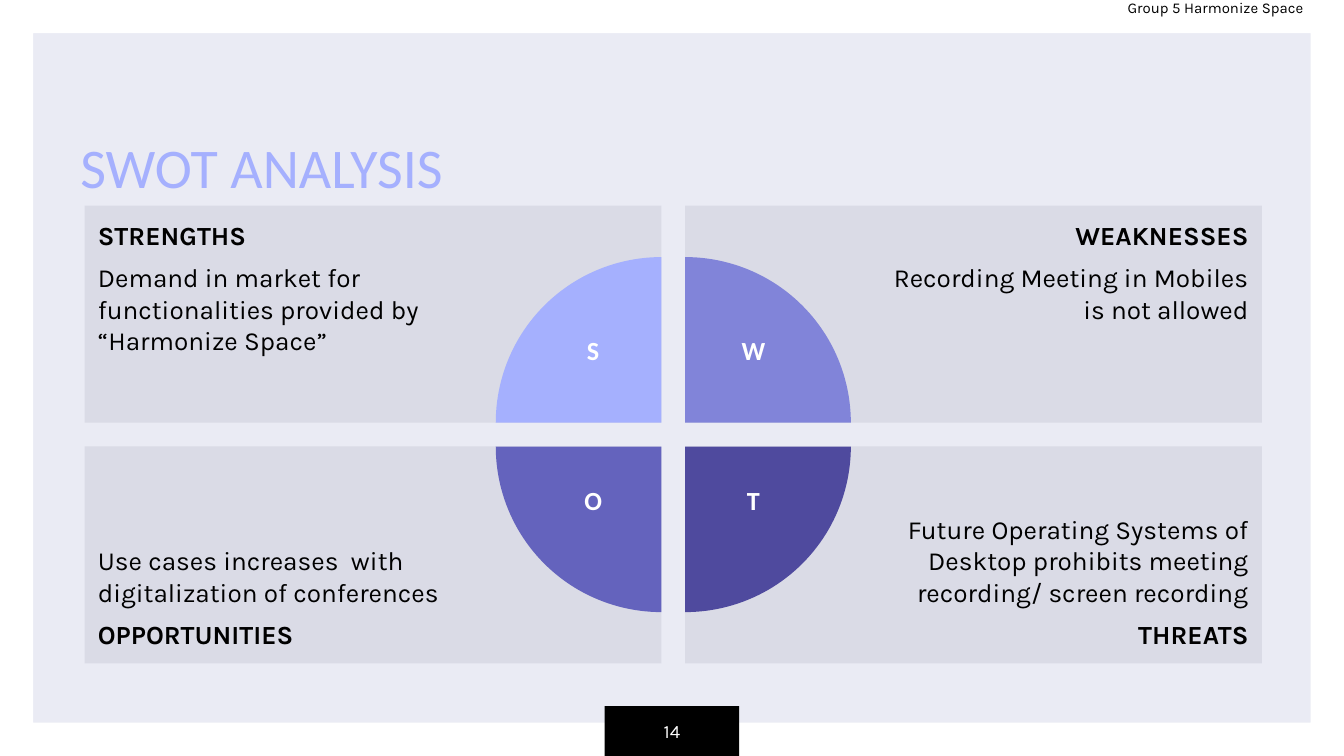
from dataclasses import dataclass

from pptx import Presentation
from pptx.dml.color import RGBColor
from pptx.enum.shapes import MSO_SHAPE as Preset
from pptx.enum.text import MSO_ANCHOR as Anchor, MSO_AUTO_SIZE as AutoSize, PP_ALIGN as Align
from pptx.shapes.autoshape import Shape
from pptx.slide import Slide
from pptx.text.text import TextFrame
from pptx.util import Cm, Pt


@dataclass(frozen=True)
class Theme:
    background: str = "EAEBF4"
    panel: str = "DADBE6"
    white: str = "FFFFFF"
    black: str = "000000"
    title: str = "A5B0FE"
    heading_font: str = "Calibri"
    body_font: str = "Karla"
    title_size: int = 30
    body_size: int = 14
    number_size: int = 10
    label_size: int = 8


@dataclass(frozen=True)
class Box:
    left: float
    top: float
    width: float
    height: float

    def lengths(self) -> tuple[Cm, Cm, Cm, Cm]:
        return Cm(self.left), Cm(self.top), Cm(self.width), Cm(self.height)


@dataclass(frozen=True)
class Quadrant:
    heading: str
    detail: str
    column: int
    row: int
    rotation: int
    color: str

    def inner_corner(self) -> tuple[float, float]:
        """Corner of the panel that faces the centre of the slide."""
        return (GRID.left + GRID.width + self.column * GAP,
                GRID.top + GRID.height + self.row * GAP)


THEME = Theme()
PAGE = Box(0, 0, 25.4, 14.29)
GRID = Box(1.6, 3.89, 10.9, 4.1)  # the first panel
GAP = 0.45
INSET = 0.25
PIE_INSET = 3.81
PIE_RADIUS = 3.13
LETTER_SIZE = 1.2
LETTER_OFFSET_X = 1.29
LETTER_OFFSET_Y = 1.2

QUADRANTS = [
    Quadrant("STRENGTHS", "Demand in market for functionalities provided by “Harmonize Space”",
             0, 0, 0, "A5B0FE"),
    Quadrant("WEAKNESSES", "Recording Meeting in Mobiles is not allowed",
             1, 0, 90, "8184D9"),
    Quadrant("THREATS", "Future Operating Systems of Desktop prohibits meeting recording/ screen recording",
             1, 1, 180, "4F4A9E"),
    Quadrant("OPPORTUNITIES", "Use cases increases  with digitalization of conferences",
             0, 1, 270, "6463BD"),
]


def add_filled_shape(slide: Slide, preset: Preset, box: Box, color: str) -> Shape:
    shape = slide.shapes.add_shape(preset, *box.lengths())
    shape.shadow.inherit = False
    shape.fill.solid()
    shape.fill.fore_color.rgb = RGBColor.from_string(color)
    shape.line.fill.background()
    return shape


def set_frame(frame: TextFrame, anchor: Anchor, left: float = INSET, right: float = INSET) -> None:
    frame.word_wrap = True
    frame.auto_size = AutoSize.NONE
    frame.vertical_anchor = anchor
    frame.margin_left, frame.margin_right = Cm(left), Cm(right)
    frame.margin_top = frame.margin_bottom = Cm(INSET)


def write(frame: TextFrame, lines: list[str], align: Align, font: str, size: int,
          color: str, bold_line: str = "") -> None:
    """Fill the frame with one paragraph per line; bold_line is set in bold."""
    frame.text = "\n".join(lines)
    for index, paragraph in enumerate(frame.paragraphs):
        paragraph.alignment = align
        if index:
            paragraph.space_before = paragraph.space_after = Pt(6)
        for run in paragraph.runs:
            run.font.name = font
            run.font.size = Pt(size)
            run.font.bold = run.text == bold_line
            run.font.color.rgb = RGBColor.from_string(color)


def add_page_furniture(slide: Slide) -> None:
    slide.background.fill.solid()
    slide.background.fill.fore_color.rgb = RGBColor.from_string(THEME.background)
    border = add_filled_shape(slide, Preset.FRAME, PAGE, THEME.white)
    border.adjustments[0] = 0.044

    tab = add_filled_shape(slide, Preset.RECTANGLE, Box(11.43, 13.35, 2.54, 0.94), THEME.black)
    set_frame(tab.text_frame, Anchor.MIDDLE)
    write(tab.text_frame, ["14"], Align.CENTER, THEME.body_font, THEME.number_size, THEME.white)

    label = slide.shapes.add_textbox(*Box(21.06, -0.28, 3.91, 0.86).lengths())
    set_frame(label.text_frame, Anchor.TOP)
    write(label.text_frame, ["Group 5 Harmonize Space"], Align.LEFT,
          THEME.body_font, THEME.label_size, THEME.black)


def add_title(slide: Slide, text: str) -> None:
    title = slide.shapes.title
    title.left, title.top, title.width, title.height = Box(1.27, 1.63, 14.27, 2.39).lengths()
    set_frame(title.text_frame, Anchor.BOTTOM)
    write(title.text_frame, [text], Align.LEFT, THEME.heading_font, THEME.title_size, THEME.title)


def add_panel(slide: Slide, quadrant: Quadrant) -> None:
    box = Box(GRID.left + quadrant.column * (GRID.width + GAP),
              GRID.top + quadrant.row * (GRID.height + GAP), GRID.width, GRID.height)
    panel = add_filled_shape(slide, Preset.RECTANGLE, box, THEME.panel)
    lines = [quadrant.heading, quadrant.detail]
    if quadrant.row:
        lines.reverse()
    anchor = Anchor.BOTTOM if quadrant.row else Anchor.TOP
    if quadrant.column:
        align, left, right = Align.RIGHT, PIE_INSET, INSET
    else:
        align, left, right = Align.LEFT, INSET, PIE_INSET
    set_frame(panel.text_frame, anchor, left, right)
    write(panel.text_frame, lines, align, THEME.body_font, THEME.body_size,
          THEME.black, quadrant.heading)


def add_quarter_pie(slide: Slide, quadrant: Quadrant) -> None:
    x, y = quadrant.inner_corner()
    box = Box(x - PIE_RADIUS, y - PIE_RADIUS, 2 * PIE_RADIUS, 2 * PIE_RADIUS)
    pie = add_filled_shape(slide, Preset.PIE, box, quadrant.color)
    pie.adjustments[0] = 108  # 180 degrees
    pie.adjustments[1] = 162  # 270 degrees
    pie.rotation = quadrant.rotation


def add_letter(slide: Slide, quadrant: Quadrant) -> None:
    x, y = quadrant.inner_corner()
    center_x = x + LETTER_OFFSET_X * (2 * quadrant.column - 1)
    center_y = y + LETTER_OFFSET_Y * (2 * quadrant.row - 1)
    box = Box(center_x - LETTER_SIZE / 2, center_y - LETTER_SIZE / 2, LETTER_SIZE, LETTER_SIZE)
    frame = slide.shapes.add_textbox(*box.lengths()).text_frame
    frame.word_wrap = True
    letter = quadrant.heading[0]
    write(frame, [letter], Align.CENTER, THEME.heading_font, THEME.body_size, THEME.white, letter)


def main() -> None:
    presentation = Presentation()
    presentation.slide_width, presentation.slide_height = Cm(PAGE.width), Cm(PAGE.height)
    slide = presentation.slides.add_slide(presentation.slide_layouts[5])
    add_page_furniture(slide)
    add_title(slide, "SWOT ANALYSIS")
    for draw in (add_panel, add_quarter_pie, add_letter):
        for quadrant in QUADRANTS:
            draw(slide, quadrant)
    presentation.save("out.pptx")


if __name__ == "__main__":
    main()
